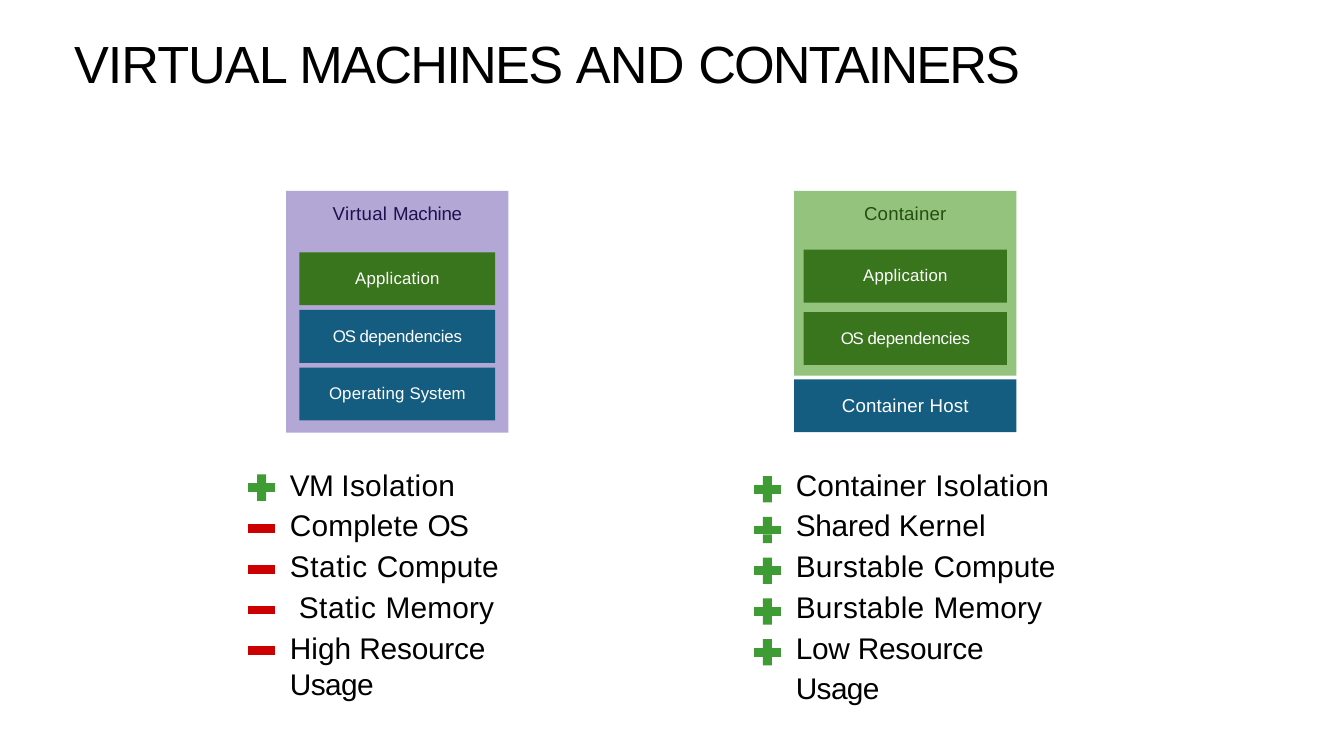
"""Build a slide comparing virtual machines with containers."""
from lxml.etree import SubElement
from pptx import Presentation
from pptx.dml.color import RGBColor
from pptx.enum.shapes import MSO_CONNECTOR, MSO_SHAPE
from pptx.enum.text import MSO_ANCHOR, MSO_AUTO_SIZE, PP_ALIGN
from pptx.oxml.ns import qn
from pptx.util import Cm, Pt

THEME = {
    "font": "Arial",
    "black": "000000", "white": "FFFFFF",
    "purple": "B3A7D6", "indigo": "1F114D",
    "lime": "93C37C", "forest": "264D12",
    "green": "38751C", "blue": "155D80",
    "plus": "3F9C34", "minus": "CC0000",
    "title": 28, "list": 16, "head": 10, "box": 9, "bar": 4.66,
}
TITLE = [("VIRTUAL ", -0.5), ("MACHINES ", -0.9), ("AND ", -0.4), ("CONTAINERS", -1)]
APP = [("Application", 0.1)]
DEPS = [("OS ", -0.6), ("dependencies", -0.1)]
COLUMNS = [
    {
        "panel": ([("Virtual ", 0.2), ("Machine", -0.1)], "purple", "indigo"),
        "left": 5.41, "height": 4.57, "inset": 0.25, "first": 4.77, "step": 1.09,
        "boxes": [(APP, "green"), (DEPS, "blue"),
                  ([("Operating ", 0.1), ("System", 0)], "blue")],
        "host": None,
        "list_left": 5.48, "line": 0.68, "mark_left": 4.69, "mark_mid": 9.22,
        "items": [("plus", [("VM ", -0.4), ("Isolation", 0.2)]),
                  ("minus", [("Complete ", 0.1), ("OS", -0.9)]),
                  ("minus", [("Static ", 0.3), ("Compute", 0.1)]),
                  ("minus", [(" Static ", 0.3), ("Memory", 0.1)]),
                  ("minus", [("High ", 0), ("Resource ", -0.1), ("Usage", -0.3)])],
    },
    {
        "panel": ([("Container", 0.1)], "lime", "forest"),
        "left": 15.01, "height": 3.49, "inset": 0.18, "first": 4.72, "step": 1.18,
        "boxes": [(APP, "green"), (DEPS, "green")],
        "host": [("Container Host", 0.1)],
        "list_left": 15.04, "line": 0.77, "mark_left": 14.25, "mark_mid": 9.25,
        "items": [("plus", [("Container ", 0.1), ("Isolation", 0.2)]),
                  ("plus", [("Shared ", -0.1), ("Kernel", 0.1)]),
                  ("plus", [("Burstable ", 0.2), ("Compute", 0.1)]),
                  ("plus", [("Burstable ", 0.2), ("Memory", 0.1)]),
                  ("plus", [("Low Resource ", -0.1), ("Usage", -0.3)])],
    },
]
PANEL_TOP, PANEL_W, BOX_H, PANEL_GAP = 3.61, 4.2, 1.0, 0.07
LIST_TOP, LIST_W, LIST_H, PITCH = 8.72, 5.1, 4.7, 0.77
MARK, TIP, HALF_BAR = 0.51, 0.17, 0.08


def write(p, text, size="box", color="white", align=PP_ALIGN.CENTER, line=1.0, after=0):
    """Put (text, letter spacing) pairs, without a bullet, in a paragraph."""
    p.alignment, p.line_spacing = align, line
    p.space_before, p.space_after = Pt(0), after
    pPr = p._p.get_or_add_pPr()
    pPr.set("marL", "0")
    pPr.set("indent", "0")
    SubElement(pPr, qn("a:buNone"))
    for part, spc in text:
        r = p.add_run()
        r.text = part
        r.font.name, r.font.size = THEME["font"], Pt(THEME[size])
        r.font.color.rgb = RGBColor.from_string(THEME[color])
        r._r.get_or_add_rPr().set("spc", str(round(spc * 100)))


def frame(sp, anchor=MSO_ANCHOR.TOP, top=0, bottom=0):
    """Set the margins of a shape's text frame and return the frame."""
    tf = sp.text_frame
    tf.word_wrap, tf.auto_size, tf.vertical_anchor = True, MSO_AUTO_SIZE.NONE, anchor
    tf.margin_left = tf.margin_right = 0
    tf.margin_top, tf.margin_bottom = Cm(top), Cm(bottom)
    return tf


def place(sp, *box):
    """Move and size a shape in centimetres."""
    sp.left, sp.top, sp.width, sp.height = map(Cm, box)


def block(slide, color, *box):
    """Add a flat filled rectangle."""
    sp = slide.shapes.add_shape(MSO_SHAPE.RECTANGLE, *map(Cm, box))
    sp.shadow.inherit = False
    sp.fill.solid()
    sp.fill.fore_color.rgb = RGBColor.from_string(THEME[color])
    sp.line.fill.background()
    return sp


def layer(slide, color, text, *box, size="box"):
    """Add a rectangle with a centred label."""
    sp = block(slide, color, *box)
    write(frame(sp, MSO_ANCHOR.MIDDLE, bottom=0.04).paragraphs[0], text, size=size)


def sign(slide, mark, left, mid):
    """Draw a bar, and the two tips that make it a plus."""
    if mark == "plus":
        x = left + (MARK - TIP) / 2
        for y in (mid - HALF_BAR - TIP, mid + HALF_BAR):
            block(slide, mark, x, y, TIP, TIP)
    sp = slide.shapes.add_connector(MSO_CONNECTOR.STRAIGHT, Cm(left), Cm(mid),
                                    Cm(left + MARK), Cm(mid))
    sp.line.width = Pt(THEME["bar"])
    sp.line.color.rgb = RGBColor.from_string(THEME[mark])
    SubElement(sp._element.spPr, qn("a:effectLst"))


def stack(slide, col):
    """Draw a column's panel with its layers and host."""
    label, fill, ink = col["panel"]
    left, inset = col["left"], col["inset"]
    sp = block(slide, fill, left, PANEL_TOP, PANEL_W, col["height"])
    write(frame(sp, top=0.21).paragraphs[0], label, size="head", color=ink)
    for i, (text, color) in enumerate(col["boxes"]):
        layer(slide, color, text, left + inset, col["first"] + i * col["step"],
              PANEL_W - 2 * inset, BOX_H)
    if col["host"]:
        top = PANEL_TOP + col["height"] + PANEL_GAP
        layer(slide, "blue", col["host"], left, top, PANEL_W, BOX_H, size="head")


def traits(slide, body, col):
    """Fill a column's list and mark each item plus or minus."""
    gap = PITCH - col["line"]
    place(body, col["list_left"], LIST_TOP + gap, LIST_W, LIST_H)
    tf = frame(body)
    for i, (mark, text) in enumerate(col["items"]):
        p = tf.add_paragraph() if i else tf.paragraphs[0]
        write(p, text, size="list", color="black", align=PP_ALIGN.LEFT,
              line=Cm(col["line"]), after=Cm(gap))
        sign(slide, mark, col["mark_left"], col["mark_mid"] + i * PITCH)


def main():
    """Assemble and save the slide."""
    prs = Presentation()
    prs.slide_width, prs.slide_height = Cm(25.4), Cm(14.29)
    slide = prs.slides.add_slide(prs.slide_layouts[3])
    title, *bodies = slide.placeholders
    place(title, 1.4, 0.59, 22.6, 1.24)
    write(frame(title).paragraphs[0], TITLE, size="title", color="black",
          align=PP_ALIGN.LEFT)
    for col, body in zip(COLUMNS, bodies):
        stack(slide, col)
        traits(slide, body, col)
    prs.save("out.pptx")


if __name__ == "__main__":
    main()
